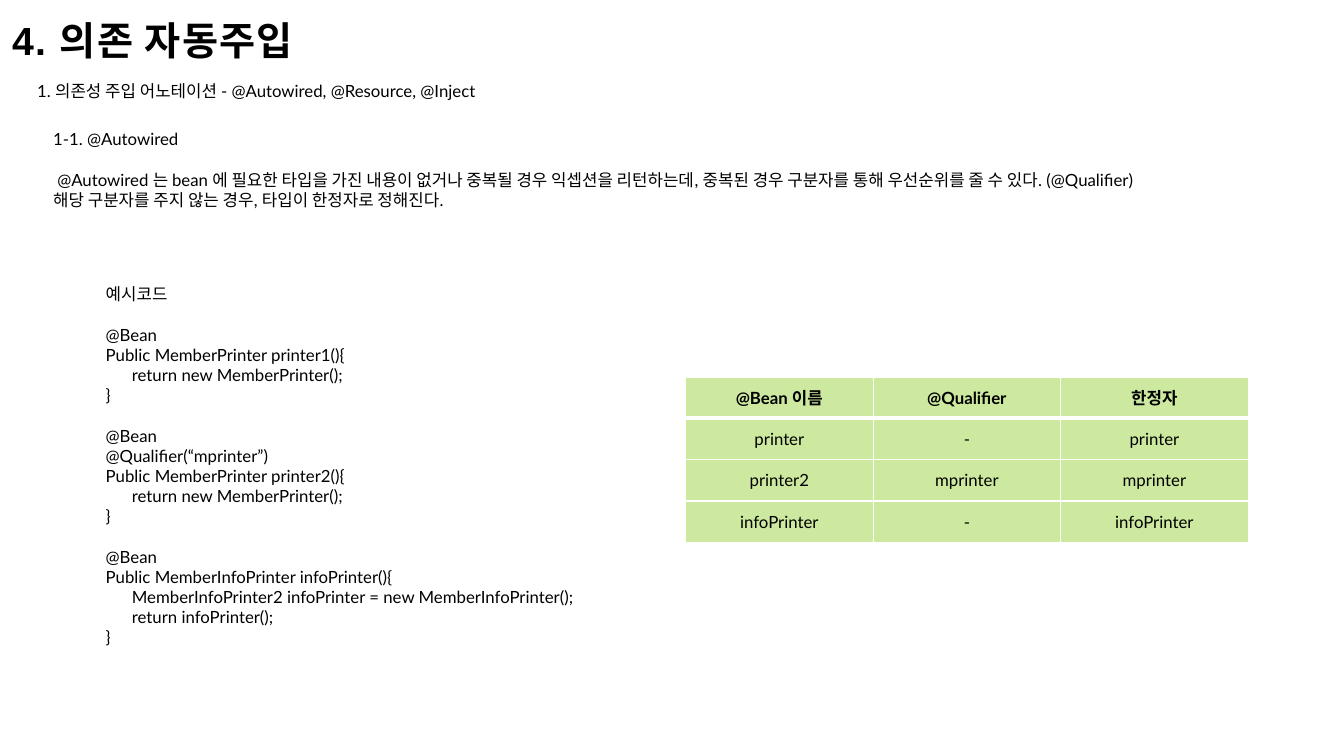
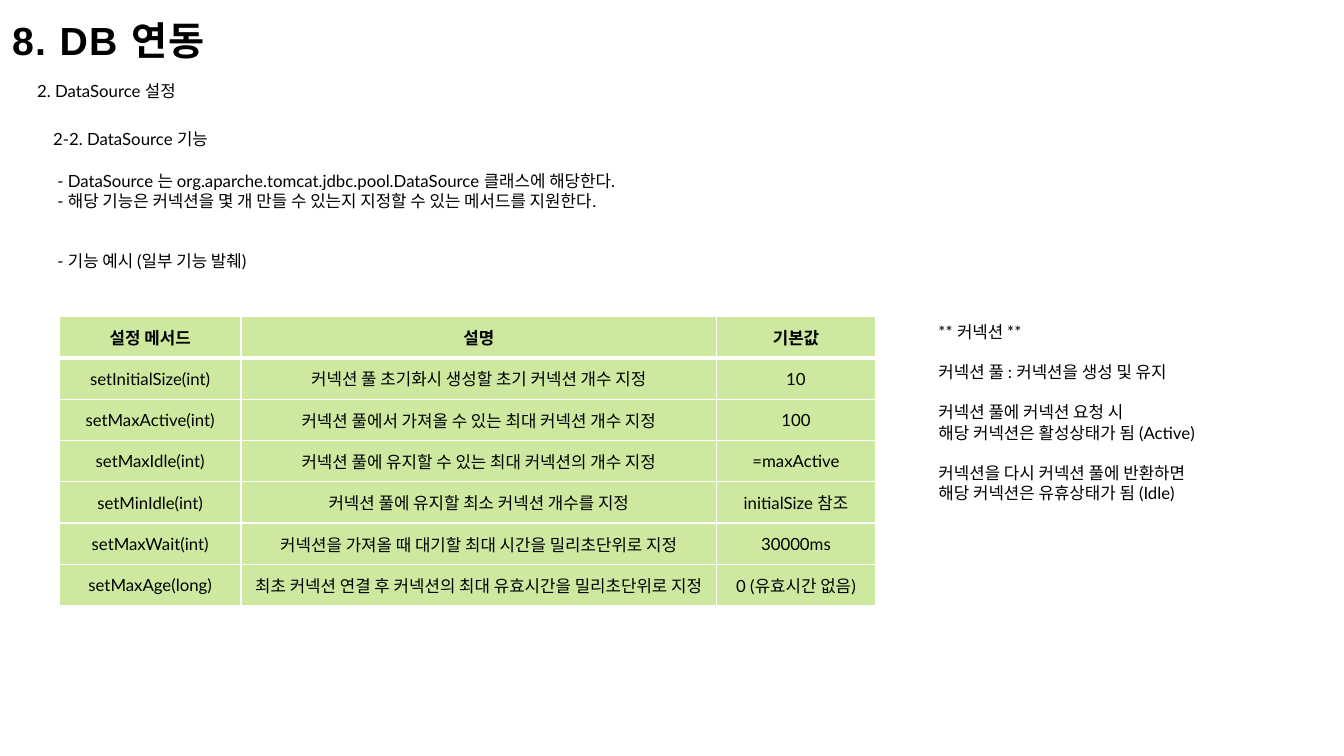
from typing import NamedTuple

from lxml.etree import SubElement
from pptx import Presentation
from pptx.dml.color import RGBColor
from pptx.enum.text import MSO_ANCHOR, MSO_AUTO_SIZE, PP_ALIGN
from pptx.oxml.ns import qn
from pptx.util import Emu, Pt

PX = 9144  # 100 px to the inch
COLORS = {"text": "000000", "cell": "CCE99F", "border": "FFFFFF"}
TITLE_FONT, BODY_FONT = "Arial", "Lato"
TITLE_SIZE, BODY_SIZE = 28, 12
LINE_HEIGHT = 14.4
PAGE_WIDTH, PAGE_HEIGHT = 1333, 750
ROW_HEIGHT = 41
CODE_INDENT, LIST_INDENT = 26, 4


class Line(NamedTuple):
    """A line of text, its indent in px and the empty lines above it."""
    text: str
    indent: int = 0
    gap: int = 0


def px(value):
    return Emu(value * PX)


def format_span(span, font=BODY_FONT, size=BODY_SIZE, bold=False):
    span.font.name = font
    span.font.size = Pt(size)
    span.font.bold = bold
    span.font.color.rgb = RGBColor.from_string(COLORS["text"])


def add_box(page, left, top, width, height):
    box = page.shapes.add_textbox(px(left), px(top), px(width), px(height))
    box.text_frame.word_wrap = True
    return box


def add_title(page, text):
    frame = add_box(page, 0, 0, PAGE_WIDTH, 75).text_frame
    frame.margin_left = frame.margin_top = frame.margin_right = px(12)
    frame.margin_bottom = px(10)
    frame.vertical_anchor = MSO_ANCHOR.MIDDLE
    para = frame.paragraphs[0]
    para.text = text
    para.line_spacing = 1.05
    span = para.runs[0]
    format_span(span, TITLE_FONT, TITLE_SIZE, bold=True)
    span.font._element.set("spc", "100")


def add_lines(page, left, top, width, height, lines):
    frame = add_box(page, left, top, width, height).text_frame
    frame.auto_size = MSO_AUTO_SIZE.SHAPE_TO_FIT_TEXT
    frame.text = "\n".join(line.text for line in lines)
    for para, line in zip(frame.paragraphs, lines):
        format_span(para.runs[0])
        if line.gap:
            para.space_before = Pt(line.gap * LINE_HEIGHT)
        if line.indent:
            para._p.get_or_add_pPr().set("marL", str(px(line.indent)))


def add_borders(cell, top, bottom):
    """Draw 1 pt side borders; top and bottom widths are in points."""
    properties = cell._tc.get_or_add_tcPr()
    for side, width in (("L", 1), ("R", 1), ("T", top), ("B", bottom)):
        border = SubElement(properties, qn(f"a:ln{side}"), w=str(Pt(width)))
        fill = SubElement(border, qn("a:solidFill"))
        SubElement(fill, qn("a:srgbClr"), val=COLORS["border"])


def add_grid(page, left, top, widths, rows):
    """Add a table whose first row is a bold header with a thick rule below."""
    table = page.shapes.add_table(
        len(rows), len(widths), px(left), px(top),
        px(sum(widths)), px(ROW_HEIGHT * len(rows))).table
    table.horz_banding = False
    for column, width in zip(table.columns, widths):
        column.width = px(width)
    for row_index, texts in enumerate(rows):
        table.rows[row_index].height = px(ROW_HEIGHT)
        for column_index, text in enumerate(texts):
            cell = table.cell(row_index, column_index)
            add_borders(cell, top=3 if row_index == 1 else 1,
                        bottom=3 if row_index == 0 else 1)
            cell.fill.solid()
            cell.fill.fore_color.rgb = RGBColor.from_string(COLORS["cell"])
            cell.vertical_anchor = MSO_ANCHOR.MIDDLE
            para = cell.text_frame.paragraphs[0]
            para.text = text
            para.alignment = PP_ALIGN.CENTER
            format_span(para.runs[0], bold=row_index == 0)


def add_page(deck, title, topic):
    page = deck.slides.add_slide(deck.slide_layouts[6])
    add_title(page, title)
    add_lines(page, 27, 75, 1290, 30, [Line(topic)])
    return page


def add_injection_page(deck):
    page = add_page(deck, "4. 의존 자동주입",
                    "1. 의존성 주입 어노테이션 - @Autowired, @Resource, @Inject")
    add_lines(page, 43, 123, 1210, 91, [
        Line("1-1. @Autowired"),
        Line("@Autowired 는 bean 에 필요한 타입을 가진 내용이 없거나 중복될 경우 "
             "익셉션을 리턴하는데, 중복된 경우 구분자를 통해 우선순위를 줄 수 있다. "
             "(@Qualifier)", LIST_INDENT, 1),
        Line("해당 구분자를 주지 않는 경우, 타입이 한정자로 정해진다."),
    ])
    add_lines(page, 95, 277, 491, 374, [
        Line("예시코드"),
        Line("@Bean", gap=1),
        Line("Public MemberPrinter printer1(){"),
        Line("return new MemberPrinter();", CODE_INDENT),
        Line("}"),
        Line("@Bean", gap=1),
        Line("@Qualifier(“mprinter”)"),
        Line("Public MemberPrinter printer2(){"),
        Line("return new MemberPrinter();", CODE_INDENT),
        Line("}"),
        Line("@Bean", gap=1),
        Line("Public MemberInfoPrinter infoPrinter(){"),
        Line("MemberInfoPrinter2 infoPrinter = new MemberInfoPrinter();",
             CODE_INDENT),
        Line("return infoPrinter();", CODE_INDENT),
        Line("}"),
    ])
    add_grid(page, 680, 374, [186] * 3, [
        ("@Bean 이름", "@Qualifier", "한정자"),
        ("printer", "-", "printer"),
        ("printer2", "mprinter", "mprinter"),
        ("infoPrinter", "-", "infoPrinter"),
    ])


def add_database_page(deck):
    page = add_page(deck, "8. DB 연동", "2. DataSource 설정")
    add_lines(page, 43, 123, 1000, 30, [Line("2-2. DataSource 기능")])
    add_lines(page, 43, 164, 1254, 111, [
        Line("- DataSource 는 org.aparche.tomcat.jdbc.pool.DataSource "
             "클래스에 해당한다.", LIST_INDENT),
        Line("- 해당 기능은 커넥션을 몇 개 만들 수 있는지 지정할 수 있는 "
             "메서드를 지원한다.", LIST_INDENT),
        Line("- 기능 예시 (일부 기능 발췌)", LIST_INDENT, 2),
    ])
    add_grid(page, 59, 314, [180, 472, 157], [
        ("설정 메서드", "설명", "기본값"),
        ("setInitialSize(int)", "커넥션 풀 초기화시 생성할 초기 커넥션 개수 지정", "10"),
        ("setMaxActive(int)", "커넥션 풀에서 가져올 수 있는 최대 커넥션 개수 지정", "100"),
        ("setMaxIdle(int)", "커넥션 풀에 유지할 수 있는 최대 커넥션의 개수 지정",
         "=maxActive"),
        ("setMinIdle(int)", "커넥션 풀에 유지할 최소 커넥션 개수를 지정",
         "initialSize 참조"),
        ("setMaxWait(int)", "커넥션을 가져올 때 대기할 최대 시간을 밀리초단위로 지정",
         "30000ms"),
        ("setMaxAge(long)", "최초 커넥션 연결 후 커넥션의 최대 유효시간을 밀리초단위로 지정",
         "0 (유효시간 없음)"),
    ])
    add_lines(page, 921, 314, 354, 192, [
        Line("** 커넥션 **"),
        Line("커넥션 풀 : 커넥션을 생성 및 유지", gap=1),
        Line("커넥션 풀에 커넥션 요청 시", gap=1),
        Line("해당 커넥션은 활성상태가 됨 (Active)"),
        Line("커넥션을 다시 커넥션 풀에 반환하면", gap=1),
        Line("해당 커넥션은 유휴상태가 됨 (Idle)"),
    ])


def main():
    deck = Presentation()
    deck.slide_width, deck.slide_height = px(PAGE_WIDTH), px(PAGE_HEIGHT)
    add_injection_page(deck)
    add_database_page(deck)
    deck.save("out.pptx")


if __name__ == "__main__":
    main()
